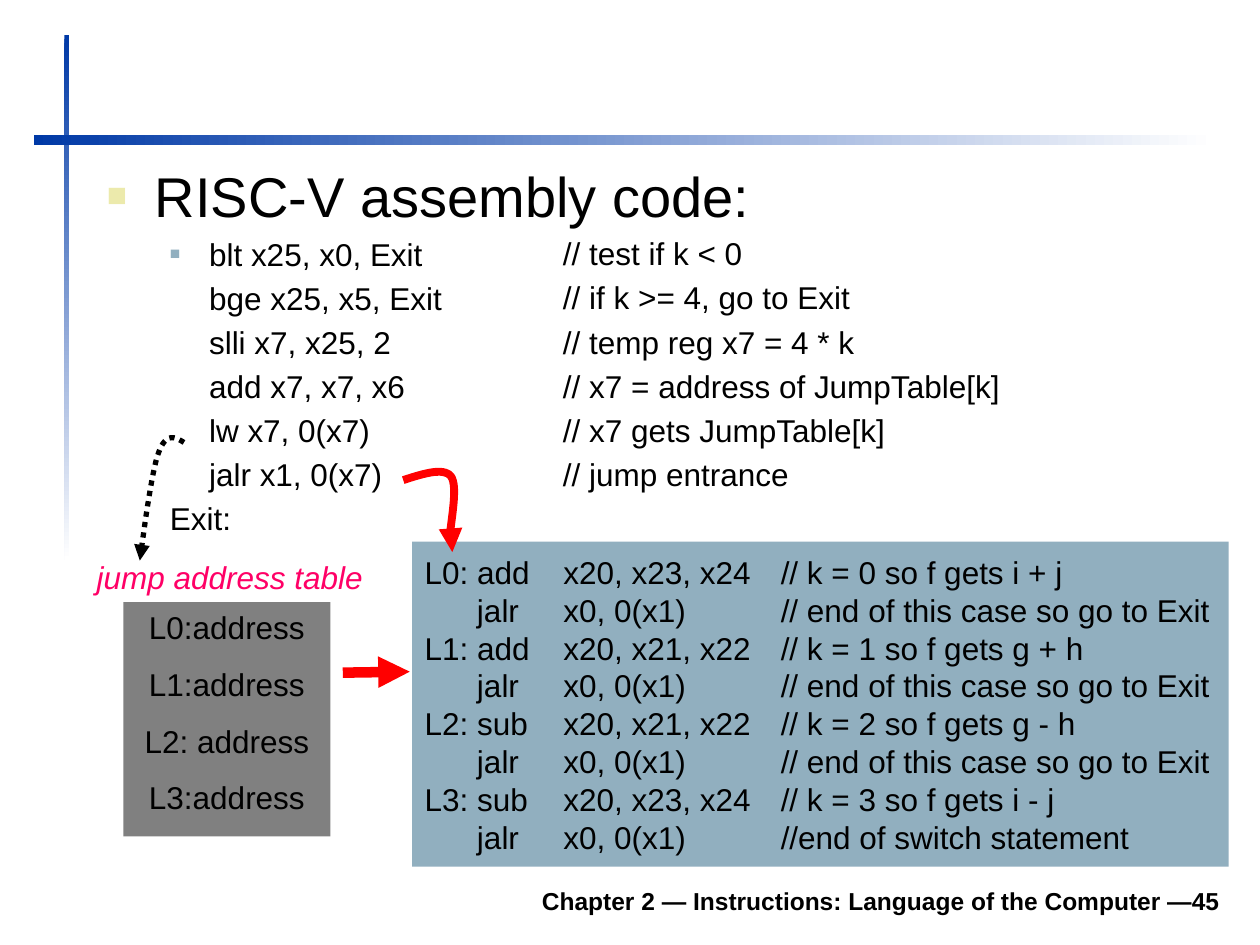
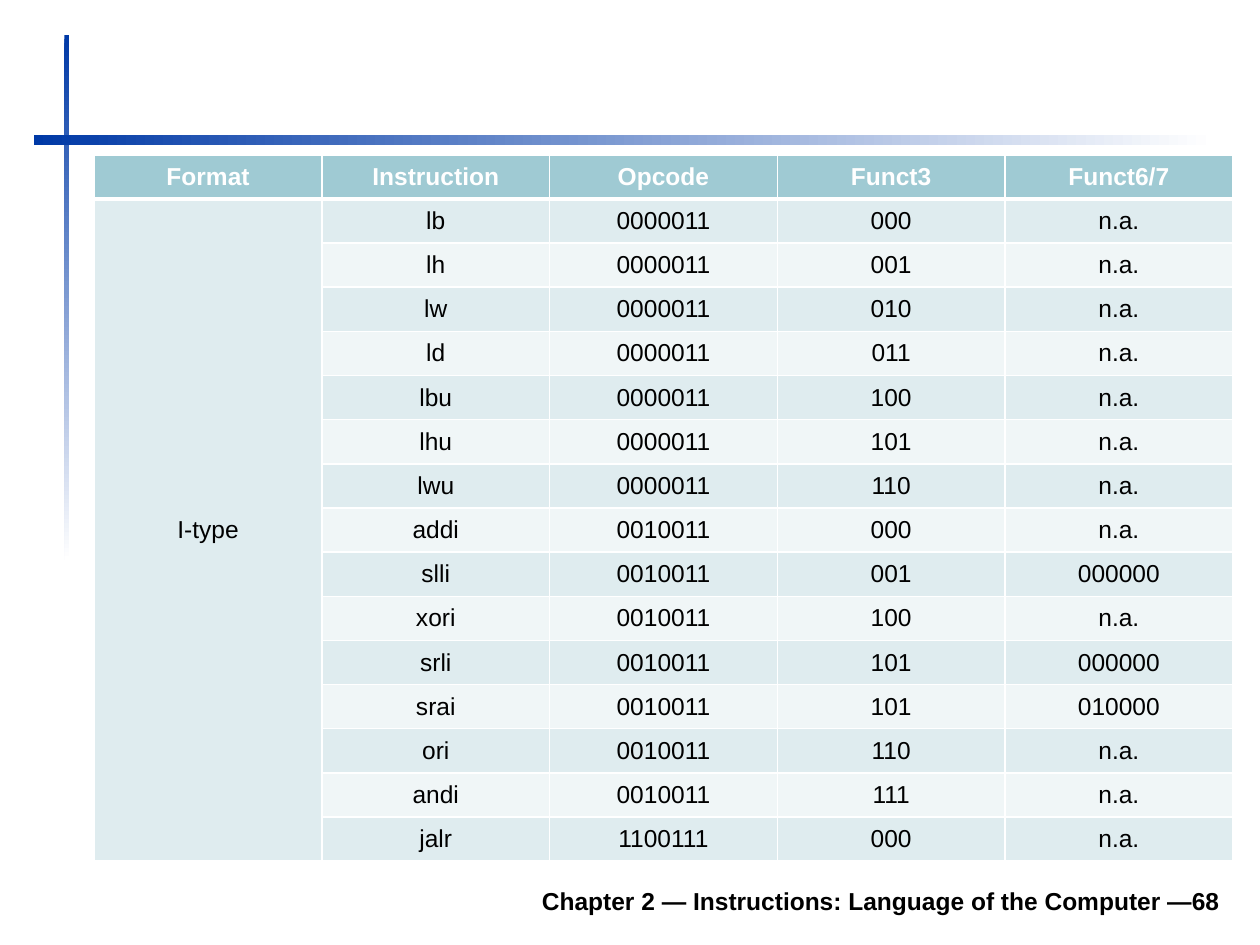
from dataclasses import dataclass
from typing import Any, Optional

import pptx
import pptx.dml.color
import pptx.enum.dml
import pptx.enum.shapes
import pptx.enum.text
import pptx.oxml.ns
import pptx.util
from lxml import etree

Cm, Pt = pptx.util.Cm, pptx.util.Pt
ALIGN = pptx.enum.text.PP_ALIGN
ANCHOR = pptx.enum.text.MSO_ANCHOR
RECTANGLE = pptx.enum.shapes.MSO_SHAPE.RECTANGLE
DOTTED = pptx.enum.dml.MSO_LINE.ROUND_DOT

FONT = "Arial"
COLORS = {
    "text": "000000", "white": "FFFFFF", "rule": "0039A6",
    "bullet": "ECEAAC", "code": "91AFBF", "jump table": "808080",
    "caption": "FF0066", "jump": "FF0000",
    "header": "9FCAD3", "dark row": "DFECEF", "light row": "F0F6F7",
}
FOOTER = "Chapter 2 — Instructions: Language of the Computer —"

Point = tuple[float, float]


@dataclass(frozen=True)
class Box:
    """Position and size in centimetres."""
    left: float
    top: float
    width: float
    height: float

    def lengths(self) -> tuple[int, int, int, int]:
        return Cm(self.left), Cm(self.top), Cm(self.width), Cm(self.height)


@dataclass(frozen=True)
class Rule:
    box: Box
    angle: int


@dataclass(frozen=True)
class CurvedArrow:
    """A chain of cubic curves: a start, then three points per curve."""
    points: tuple[Point, ...]
    color: str
    width: float
    dash: Optional[Any] = None


RULES = (
    Rule(Box(1.3, 0.71, 0.1, 10.59), 270),
    Rule(Box(0.69, 2.72, 23.8, 0.2), 0),
)
FOOTER_BOX = Box(7.32, 17.65, 17.53, 1.02)
BODY_BOX = Box(1.9, 3.12, 22.99, 14.2)
COMMENT_BOX = Box(11.1, 4.6, 13.4, 5.7)

INSTRUCTIONS = (
    ("blt x25, x0, Exit", "// test if k < 0"),
    ("bge x25, x5, Exit", "// if k >= 4, go to Exit"),
    ("slli x7, x25, 2", "// temp reg x7 = 4 * k"),
    ("add x7, x7, x6", "// x7 = address of JumpTable[k]"),
    ("lw x7, 0(x7)", "// x7 gets JumpTable[k]"),
    ("jalr x1, 0(x7)", "// jump entrance"),
)
CASES = (
    ("add", "x20, x23, x24", "i + j"),
    ("add", "x20, x21, x22", "g + h"),
    ("sub", "x20, x21, x22", "g - h"),
    ("sub", "x20, x23, x24", "i - j"),
)
ARROWS = (
    CurvedArrow(((3.71, 8.92), (3.53, 8.81), (3.35, 8.71), (3.2, 9.12),
                 (3.05, 9.5), (2.87, 10.95), (2.82, 11.3)),
                "text", 3, DOTTED),
    CurvedArrow(((8.13, 9.68), (8.53, 9.55), (8.94, 9.42), (9.09, 9.6),
                 (9.25, 9.8), (9.07, 10.59), (9.07, 10.85),
                 (9.07, 11.1), (9.09, 11.1), (9.12, 11.13)),
                "jump", 4.5),
)
HEADINGS = ("Format", "Instruction", "Opcode", "Funct3", "Funct6/7")
ENCODINGS = (
    ("lb", "0000011", "000", "n.a."),
    ("lh", "0000011", "001", "n.a."),
    ("lw", "0000011", "010", "n.a."),
    ("ld", "0000011", "011", "n.a."),
    ("lbu", "0000011", "100", "n.a."),
    ("lhu", "0000011", "101", "n.a."),
    ("lwu", "0000011", "110", "n.a."),
    ("addi", "0010011", "000", "n.a."),
    ("slli", "0010011", "001", "000000"),
    ("xori", "0010011", "100", "n.a."),
    ("srli", "0010011", "101", "000000"),
    ("srai", "0010011", "101", "010000"),
    ("ori", "0010011", "110", "n.a."),
    ("andi", "0010011", "111", "n.a."),
    ("jalr", "1100111", "000", "n.a."),
)


def rgb(name: str) -> pptx.dml.color.RGBColor:
    return pptx.dml.color.RGBColor.from_string(COLORS[name])


def add_xml(parent: Any, tag: str, **attributes: str) -> Any:
    return etree.SubElement(parent, pptx.oxml.ns.qn(tag), attributes)


def put_text(frame: Any, lines: list[str], *, size: float = 18,
             color: str = "text", bold: bool = False, italic: bool = False,
             align: Any = ALIGN.LEFT, anchor: Any = ANCHOR.TOP,
             gap: float = 0, wrap: bool = True,
             tabs: tuple[float, ...] = ()) -> None:
    """Fill an empty frame with one paragraph per line."""
    frame.word_wrap = wrap
    frame.vertical_anchor = anchor
    for index, line in enumerate(lines):
        paragraph = frame.add_paragraph() if index else frame.paragraphs[0]
        paragraph.alignment = align
        if index and gap:
            paragraph.space_before = Pt(gap)
        if tabs:
            stops = add_xml(paragraph._p.get_or_add_pPr(), "a:tabLst")
            for stop in tabs:
                add_xml(stops, "a:tab", pos=str(Cm(stop)), algn="l")
        run = paragraph.add_run()
        run.text = line
        run.font.name = FONT
        run.font.size = Pt(size)
        run.font.bold = bold
        run.font.italic = italic
        run.font.color.rgb = rgb(color)


def indent(paragraph: Any, margin: float, hanging: float = 0,
           bullet_color: str = "", bullet_percent: int = 100) -> None:
    properties = paragraph._p.get_or_add_pPr()
    properties.set("marL", str(Cm(margin)))
    properties.set("indent", str(-Cm(hanging)))
    if not bullet_color:
        add_xml(properties, "a:buNone")
        return
    add_xml(add_xml(properties, "a:buClr"), "a:srgbClr",
            val=COLORS[bullet_color])
    add_xml(properties, "a:buSzPct", val=str(bullet_percent * 1000))
    add_xml(properties, "a:buFont", typeface=FONT)
    add_xml(properties, "a:buChar", char="■")


def add_panel(slide: Any, box: Box, fill: str = "") -> Any:
    panel = slide.shapes.add_shape(RECTANGLE, *box.lengths())
    panel.shadow.inherit = False
    panel.line.fill.background()
    if fill:
        panel.fill.solid()
        panel.fill.fore_color.rgb = rgb(fill)
    return panel


def add_text(slide: Any, box: Box, lines: list[str], **text_format: Any) -> None:
    put_text(slide.shapes.add_textbox(*box.lengths()).text_frame,
             lines, **text_format)


def add_frame(slide: Any, page: int) -> None:
    """Draw the crossed rules and the footer."""
    for rule in RULES:
        fill = add_panel(slide, rule.box).fill
        fill.gradient()
        fill.gradient_angle = rule.angle
        for stop, color in zip(fill.gradient_stops, ("rule", "white")):
            stop.color.rgb = rgb(color)
    add_text(slide, FOOTER_BOX, [f"{FOOTER}{page}"], size=14, bold=True,
             align=ALIGN.RIGHT, anchor=ANCHOR.MIDDLE)


def style_arrow(line: Any, color: str, width: float) -> None:
    line.color.rgb = rgb(color)
    line.width = Pt(width)
    add_xml(line._get_or_add_ln(), "a:tailEnd", type="triangle")


def curve_points(points: tuple[Point, ...], steps: int = 16) -> list[Point]:
    sampled = []
    for first in range(0, len(points) - 1, 3):
        controls = points[first:first + 4]
        for step in range(1, steps + 1):
            t = step / steps
            weights = ((1 - t) ** 3, 3 * t * (1 - t) ** 2,
                       3 * t ** 2 * (1 - t), t ** 3)
            x, y = (sum(w * c[axis] for w, c in zip(weights, controls))
                    for axis in (0, 1))
            sampled.append((Cm(x), Cm(y)))
    return sampled


def add_curved_arrow(slide: Any, arrow: CurvedArrow) -> None:
    start_x, start_y = arrow.points[0]
    builder = slide.shapes.build_freeform(Cm(start_x), Cm(start_y))
    builder.add_line_segments(curve_points(arrow.points), close=False)
    curve = builder.convert_to_shape()
    curve.shadow.inherit = False
    curve.fill.background()
    if arrow.dash:
        curve.line.dash_style = arrow.dash
    style_arrow(curve.line, arrow.color, arrow.width)


def case_lines() -> list[str]:
    lines = []
    for k, (opcode, operands, result) in enumerate(CASES):
        ending = ("//end of switch statement" if k == len(CASES) - 1
                  else "// end of this case so go to Exit")
        lines += [f"L{k}: {opcode}\t{operands}\t// k = {k} so f gets {result}",
                  f"      jalr\tx0, 0(x1)\t{ending}"]
    return lines


def build_assembly_slide(deck: Any) -> None:
    slide = deck.slides.add_slide(deck.slide_layouts[1])
    title = slide.shapes.title
    title.element.getparent().remove(title.element)
    add_frame(slide, 45)

    body = slide.placeholders[1]
    body.left, body.top, body.width, body.height = BODY_BOX.lengths()
    frame = body.text_frame
    frame.auto_size = pptx.enum.text.MSO_AUTO_SIZE.NONE
    code = [instruction for instruction, _ in INSTRUCTIONS]
    put_text(frame, ["RISC-V assembly code:", *code, "Exit:"], gap=3.6)
    heading, first, *others, exit_label = frame.paragraphs
    heading.runs[0].font.size = Pt(32)
    indent(heading, 0.97, 0.97, "bullet", 60)
    first.space_before = Pt(3.6)
    for paragraph in (first, *others, exit_label):
        paragraph.level = 1
    indent(first, 2.06, 0.79, "code", 55)
    for paragraph in others:
        indent(paragraph, 2.06)
    indent(exit_label, 1.27)
    add_text(slide, COMMENT_BOX, [comment for _, comment in INSTRUCTIONS],
             gap=3.6)

    cases = add_panel(slide, Box(8.31, 10.92, 16.46, 6.55), "code").text_frame
    cases.margin_right = 0
    put_text(cases, case_lines(), anchor=ANCHOR.MIDDLE, tabs=(2.8, 7.18))
    add_text(slide, Box(1.7, 11.13, 6.35, 1.02), ["jump address table"],
             color="caption", italic=True, wrap=False)
    jump_table = add_panel(slide, Box(2.49, 12.14, 4.17, 4.72), "jump table")
    put_text(jump_table.text_frame,
             ["L0:address", "L1:address", "L2: address", "L3:address"],
             align=ALIGN.CENTER, gap=10.8)

    for arrow in ARROWS:
        add_curved_arrow(slide, arrow)
    table_to_code = slide.shapes.add_connector(
        pptx.enum.shapes.MSO_CONNECTOR.STRAIGHT,
        Cm(6.91), Cm(13.56), Cm(8.26), Cm(13.54))
    style_arrow(table_to_code.line, "jump", 6)
    add_xml(table_to_code._element.spPr, "a:effectLst")


def format_cell(cell: Any, fill: str, bottom: float = 1) -> None:
    cell.fill.solid()
    cell.fill.fore_color.rgb = rgb(fill)
    properties = cell._tc.get_or_add_tcPr()
    for index, side in enumerate("LRTB"):
        width = bottom if side == "B" else 1
        border = add_xml(properties, f"a:ln{side}", w=str(Pt(width)))
        add_xml(add_xml(border, "a:solidFill"), "a:srgbClr",
                val=COLORS["white"])
        properties.insert(index, border)


def build_encoding_slide(deck: Any) -> None:
    slide = deck.slides.add_slide(deck.slide_layouts[6])
    add_frame(slide, 68)
    rows = [HEADINGS] + [("", *encoding) for encoding in ENCODINGS]
    rows[1] = ("I-type", *ENCODINGS[0])
    table = slide.shapes.add_table(
        len(rows), len(HEADINGS),
        *Box(1.9, 3.12, 4.59 * len(HEADINGS), 0.89 * len(rows)).lengths()).table
    for r, row in enumerate(rows):
        for c, value in enumerate(row):
            cell = table.cell(r, c)
            shade = "dark row" if r % 2 or c == 0 else "light row"
            format_cell(cell, shade if r else "header", 1 if r else 3)
            cell.vertical_anchor = ANCHOR.MIDDLE
            if value:
                put_text(cell.text_frame, [value], size=14, bold=r == 0,
                         color="text" if r else "white",
                         align=ALIGN.CENTER, anchor=None)
    table.cell(1, 0).merge(table.cell(len(rows) - 1, 0))


def main() -> None:
    deck = pptx.Presentation()
    deck.slide_width, deck.slide_height = Cm(25.4), Cm(19.05)
    build_assembly_slide(deck)
    build_encoding_slide(deck)
    deck.save("out.pptx")


if __name__ == "__main__":
    main()
